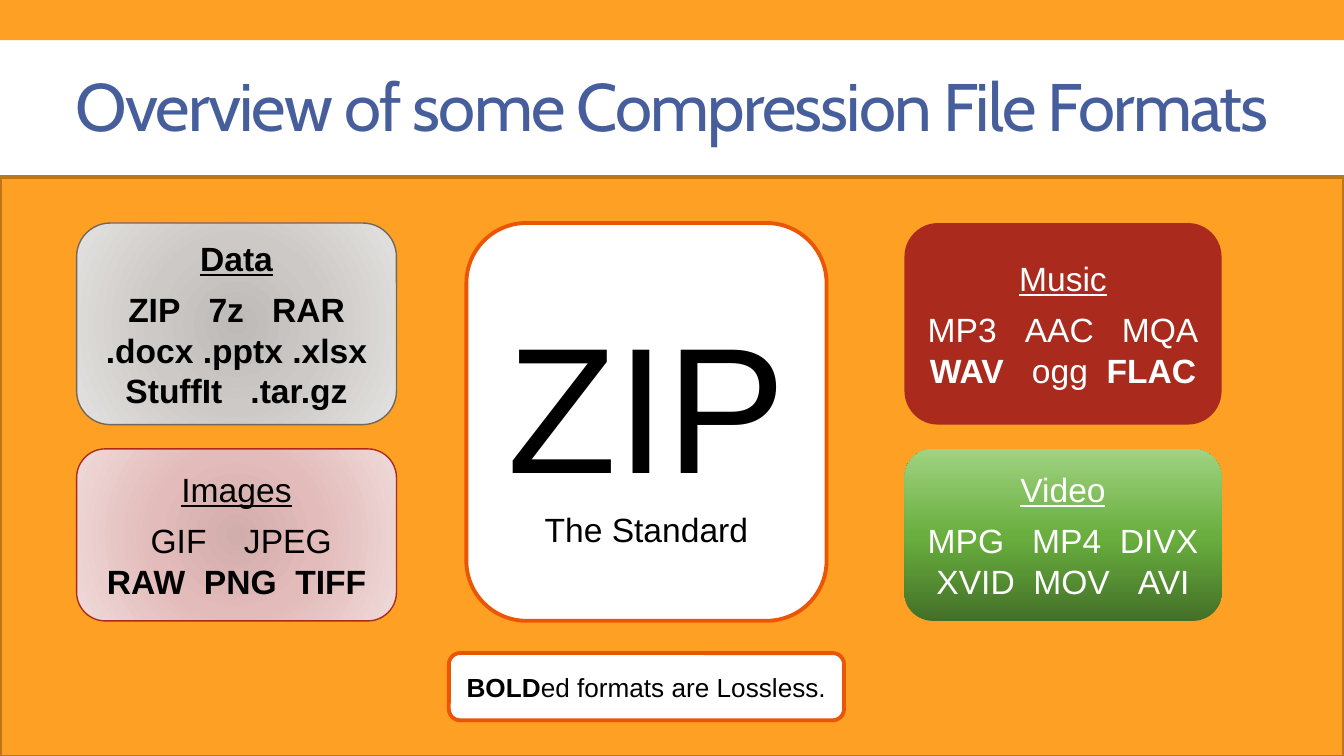
from lxml import etree
from pptx import Presentation
from pptx.dml.color import RGBColor
from pptx.enum.shapes import MSO_SHAPE
from pptx.enum.text import MSO_ANCHOR, PP_ALIGN
from pptx.oxml import parse_xml
from pptx.oxml.ns import nsdecls, qn
from pptx.util import Inches, Pt

RECTANGLE = MSO_SHAPE.RECTANGLE
ROUNDED = MSO_SHAPE.ROUNDED_RECTANGLE
MIDDLE = MSO_ANCHOR.MIDDLE
CENTER = PP_ALIGN.CENTER

COLORS = {
    "orange": "FDA023", "brown": "BB761A", "blue": "465E9C",
    "white": "FFFFFF", "black": "000000", "flame": "EB5605",
    "gray": "71685C", "red": "AA2B1E",
}
SPACE_WIDTH = 5  # points, one space at 18 pt

GRADIENTS = {
    "gray": [(0, "BDBAB7"), (45, "CCC9C6"), (100, "E3E2E0")],
    "pink": [(0, "D1ADAC"), (45, "E2BBBA"), (100, "EFDAD9")],
    "green": [(0, "437028"), (48, "68AD3D"), (100, "A0D381")],
}
CIRCLE = ('<a:path path="circle"><a:fillToRect l="100000" t="100000" '
          'r="100000" b="100000"/></a:path>')
UPWARD = '<a:lin ang="16200000" scaled="0"/>'

presentation = Presentation()
presentation.slide_width = Inches(10)
presentation.slide_height = Inches(10 * 9 / 16)
slide = presentation.slides.add_slide(presentation.slide_layouts[5])


def add_box(kind, left, top, width, height, fill, line=None, weight=2.08):
    shape = slide.shapes.add_shape(
        kind, Inches(left), Inches(top), Inches(width), Inches(height))
    shape.shadow.inherit = False
    if fill in COLORS:
        shape.fill.solid()
        shape.fill.fore_color.rgb = RGBColor.from_string(COLORS[fill])
    if line:
        shape.line.color.rgb = RGBColor.from_string(COLORS[line])
        shape.line.width = Pt(weight)
    else:
        shape.line.fill.background()
    frame = shape.text_frame
    frame.word_wrap = True
    frame.vertical_anchor = MIDDLE
    frame.margin_left = frame.margin_right = Inches(0.05)
    return shape


def add_text(paragraph, text, size=18, color="black", font="Arial",
             bold=False, underline=False, spacing=0):
    """Add a centred run; spacing is the extra room per letter in points."""
    paragraph.alignment = CENTER
    run = paragraph.add_run()
    run.text = text
    run.font.name = font
    run.font.size = Pt(size)
    run.font.bold = bold
    run.font.underline = underline
    run.font.color.rgb = RGBColor.from_string(COLORS[color])
    if spacing:
        run.font._element.set("spc", str(int(spacing * 100)))


# Background bands and title
add_box(RECTANGLE, 0, 0, 10, 0.3, "orange")
add_box(RECTANGLE, 0, 1.32, 10, 4.31, "orange", "brown")

title = slide.shapes.title
title.left, title.top = Inches(0.1), Inches(0.37)
title.width, title.height = Inches(9.8), Inches(0.81)
title.text_frame.vertical_anchor = MIDDLE
add_text(title.text_frame.paragraphs[0],
         "Overview of some Compression File Formats",
         size=36, color="blue", font="Cabin", spacing=-1)

# Central box
center = add_box(ROUNDED, 3.47, 1.66, 2.68, 2.96, "white", "flame").text_frame
add_text(center.paragraphs[0], "ZIP", size=96)
add_text(center.add_paragraph(), "The Standard")

# Category cards: each line holds (format, lossless, spaces to the next format)
LEFT_COLUMN, RIGHT_COLUMN = (0.57, 2.38), (6.73, 2.36)
TOP_ROW, BOTTOM_ROW = (1.66, 1.5), (3.34, 1.28)
cards = [
    ("Data", LEFT_COLUMN, TOP_ROW, "gray", CIRCLE, "gray", "black", [
        [("ZIP", True, 3), ("7z", True, 3), ("RAR", True, 0)],
        [(".docx", True, 1), (".pptx", True, 1), (".xlsx", True, 0)],
        [("StuffIt", True, 3), (".tar.gz", True, 0)]]),
    ("Images", LEFT_COLUMN, BOTTOM_ROW, "pink", CIRCLE, "red", "black", [
        [(" GIF", False, 4), ("JPEG", False, 0)],
        [("RAW", True, 2), ("PNG", True, 2), ("TIFF", True, 0)]]),
    ("Music", RIGHT_COLUMN, TOP_ROW, "red", None, None, "white", [
        [("MP3", False, 3), ("AAC", False, 3), ("MQA", False, 0)],
        [("WAV", True, 3), ("ogg", False, 2), ("FLAC", True, 0)]]),
    ("Video", RIGHT_COLUMN, BOTTOM_ROW, "green", UPWARD, None, "white", [
        [("MPG", False, 3), ("MP4", False, 2), ("DIVX", False, 0)],
        [("XVID", False, 2), ("MOV", False, 3), ("AVI", False, 0)]]),
]
for name, column, row, fill, direction, line, color, lines in cards:
    (left, width), (top, height) = column, row
    card = add_box(ROUNDED, left, top, width, height,
                   None if direction else fill, line, 0.75)
    if direction:
        gradient = parse_xml(f'<a:gradFill {nsdecls("a")} rotWithShape="1">'
                             f'<a:gsLst/>{direction}</a:gradFill>')
        for position, value in GRADIENTS[fill]:
            stop = etree.SubElement(gradient[0], qn("a:gs"), pos=str(position * 1000))
            etree.SubElement(stop, qn("a:srgbClr"), val=value)
        card._element.spPr.find(qn("a:prstGeom")).addnext(gradient)

    heading = card.text_frame.paragraphs[0]
    heading.space_after = Pt(6)
    add_text(heading, name, color=color, bold=name == "Data", underline=True)
    formats = card.text_frame.add_paragraph()
    if name == "Data":
        formats.space_after = Pt(6)
    for index, entries in enumerate(lines):
        if index:
            formats.add_line_break()
        for text, lossless, spaces in entries:
            add_text(formats, text, color=color, bold=lossless)
            if spaces:
                add_text(formats, " ", color=color, bold=lossless,
                         spacing=(spaces - 1) * SPACE_WIDTH)

# Key
key = add_box(ROUNDED, 3.34, 4.86, 2.94, 0.5, "white", "flame")
key_line = key.text_frame.paragraphs[0]
add_text(key_line, "BOLD", size=14, bold=True)
add_text(key_line, "ed formats are Lossless.", size=14)

presentation.save("out.pptx")
